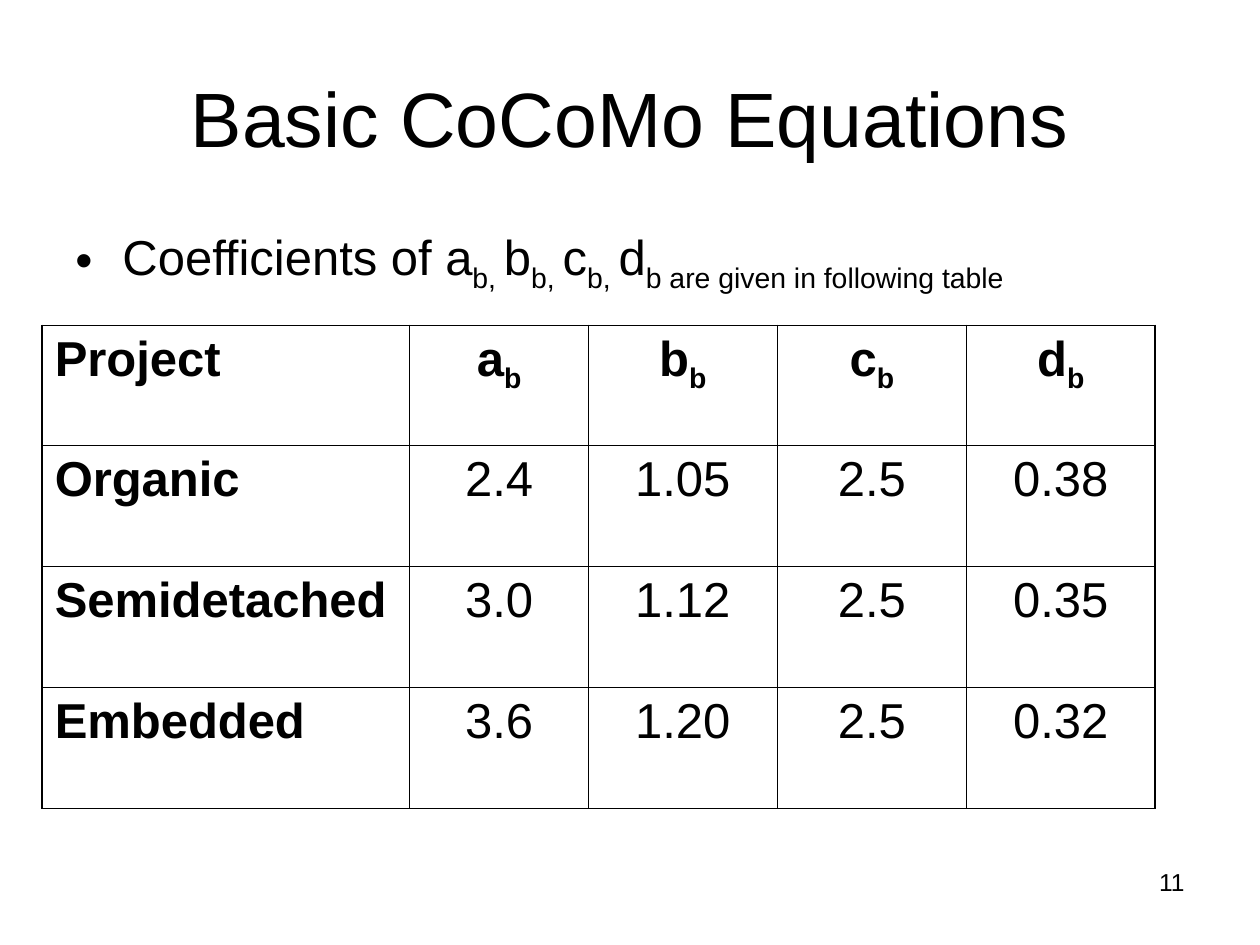
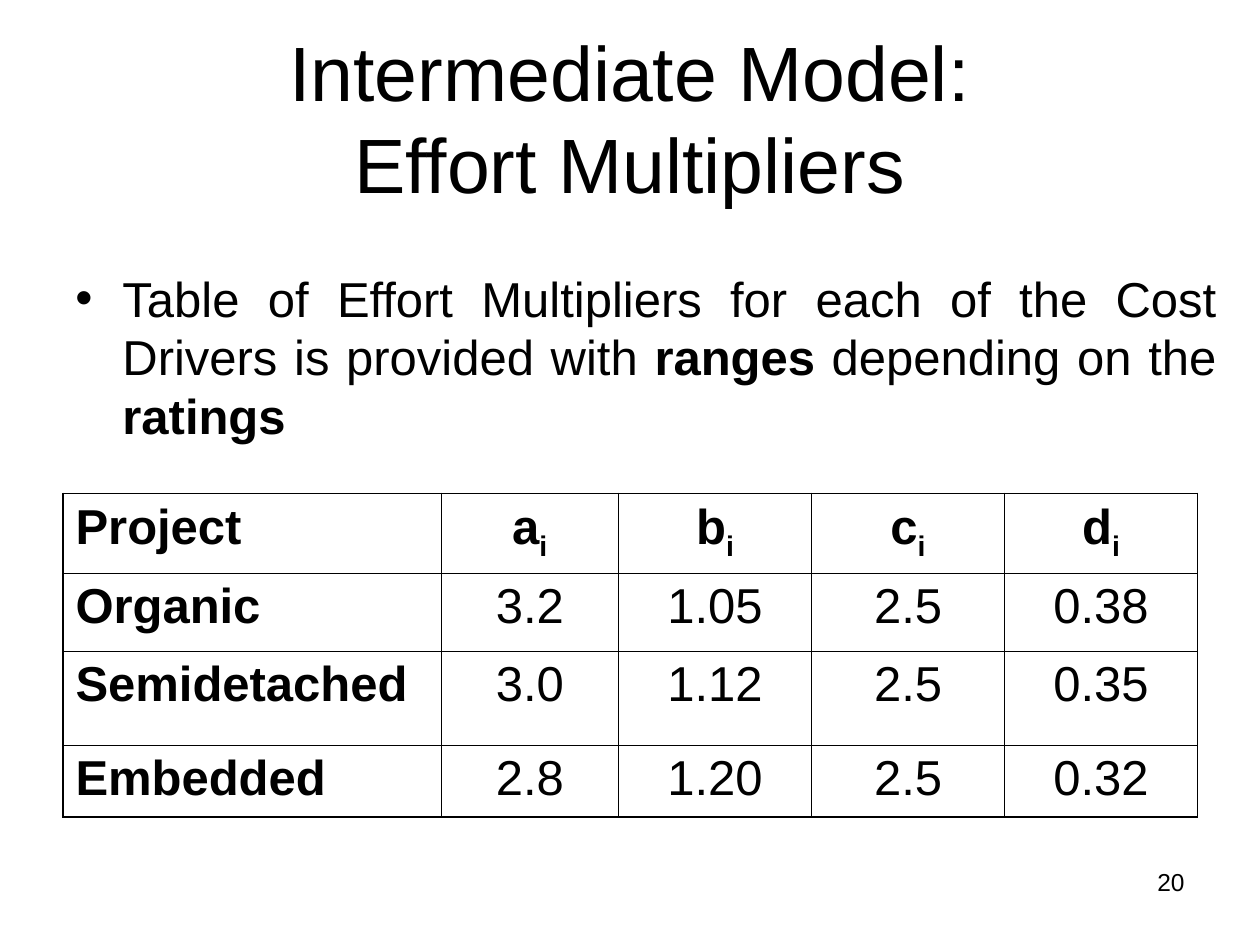
from lxml.etree import SubElement
from pptx import Presentation
from pptx.dml.color import RGBColor
from pptx.enum.text import MSO_ANCHOR, PP_ALIGN
from pptx.oxml import parse_xml
from pptx.oxml.ns import nsdecls, qn
from pptx.util import Cm, Pt

BLACK = RGBColor(0x00, 0x00, 0x00)
FONT = "Arial"
THICK, THIN = 1.08, 0.45


def write(frame, text, size=28, align=PP_ALIGN.LEFT, bold=False, before=0):
    """Fill a text frame; _x_ sets x as a subscript and *x* makes it bold."""
    par = frame.paragraphs[0]
    par.alignment = align
    par.space_before = Pt(before)
    for i, part in enumerate(text.split("_")):
        for j, bit in enumerate(part.split("*")):
            for k, line in enumerate(bit.split("\n")):
                if k:
                    par.add_line_break()
                if not line:
                    continue
                run = par.add_run()
                run.text = line
                font = run.font
                font.name, font.size = FONT, Pt(size)
                font.bold = bold or j % 2 == 1
                font.color.rgb = BLACK
                if i % 2:
                    run._r.get_or_add_rPr().set("baseline", "-25000")
    return par


def border(cell, widths):
    """Draw the left, right, top and bottom edges, with widths in points."""
    props = cell._tc.get_or_add_tcPr()
    for i, (side, width) in enumerate(zip("LRTB", widths)):
        props.insert(i, parse_xml(
            f'<a:ln{side} {nsdecls("a")} w="{Pt(width)}"><a:solidFill>'
            f'<a:srgbClr val="{BLACK}"/></a:solidFill></a:ln{side}>'))


class Deck:
    def __init__(self):
        self.prs = Presentation()
        self.prs.slide_width, self.prs.slide_height = Cm(25.4), Cm(19.05)

    def page(self, title, number):
        self.slide = self.prs.slides.add_slide(self.prs.slide_layouts[6])
        write(self.box(18.21, 17.35, 5.92, 1.32), number, size=14,
              align=PP_ALIGN.RIGHT)
        frame = self.box(1.27, 0.76, 22.86, 3.18)
        frame.vertical_anchor = MSO_ANCHOR.MIDDLE
        write(frame, title, size=44, align=PP_ALIGN.CENTER)

    def box(self, *place):
        shape = self.slide.shapes.add_textbox(*map(Cm, place))
        shape.text_frame.word_wrap = True
        return shape.text_frame

    def bullet(self, text, place, align=PP_ALIGN.LEFT):
        par = write(self.box(*place), text, align=align, before=7)
        props = par._p.get_or_add_pPr()
        props.set("marL", str(Cm(0.95)))
        props.set("indent", str(Cm(-0.95)))
        SubElement(props, qn("a:buFont"), typeface=FONT)
        SubElement(props, qn("a:buChar"), char="•")

    def table(self, data, left, top, cols, rows, align=PP_ALIGN.LEFT):
        """Place a ruled grid; align holds for the first column."""
        grid = self.slide.shapes.add_table(
            len(rows), len(cols), Cm(left), Cm(top),
            Cm(sum(cols)), Cm(sum(rows))).table
        grid.first_row = grid.horz_banding = False
        for col, width in zip(grid.columns, cols):
            col.width = Cm(width)
        for row, height in zip(grid.rows, rows):
            row.height = Cm(height)
        for r, line in enumerate(data):
            for c, text in enumerate(line):
                cell = grid.cell(r, c)
                write(cell.text_frame, text, before=7,
                      bold=r == 0 or c == 0,
                      align=PP_ALIGN.CENTER if c else align)
                cell.fill.background()
                edges = (c == 0, c == len(cols) - 1,
                         r == 0, r == len(rows) - 1)
                border(cell, [THICK if edge else THIN for edge in edges])


def model(index, efforts):
    """Table data for one model: only the index and column a differ."""
    names = ["Organic", "Semidetached", "Embedded"]
    rest = [["1.05", "2.5", "0.38"],
            ["1.12", "2.5", "0.35"],
            ["1.20", "2.5", "0.32"]]
    head = ["Project"] + [f"{sign}_{index}_" for sign in "abcd"]
    return [head] + [[name, effort, *more] for name, effort, more
                     in zip(names, efforts, rest)]


def main():
    deck = Deck()

    deck.page("Basic CoCoMo Equations", "11")
    deck.bullet("Coefficients of a_b, _b_b, _c_b, _d"
                "_b are given in following table_",
                (1.27, 4.45, 24.13, 14.6))
    deck.table(model("b", ["2.4", "3.0", "3.6"]), 0.85, 6.56,
               cols=[7.41, 3.6] + [3.81] * 3, rows=[2.42] + [2.44] * 3)

    deck.page("Intermediate Model:\nEffort Multipliers", "20")
    deck.bullet("Table of Effort Multipliers for each of the Cost Drivers is "
                "provided with *ranges* depending on the *ratings*",
                (1.27, 5.28, 23.5, 12.57), align=PP_ALIGN.JUSTIFY)
    deck.table(model("i", ["3.2", "3.0", "2.8"]), 1.27, 9.95,
               cols=[7.62, 3.58] + [3.89] * 3, rows=[1.55, 1.57, 1.9, 1.45],
               align=PP_ALIGN.JUSTIFY)

    deck.prs.save("out.pptx")


if __name__ == "__main__":
    main()
